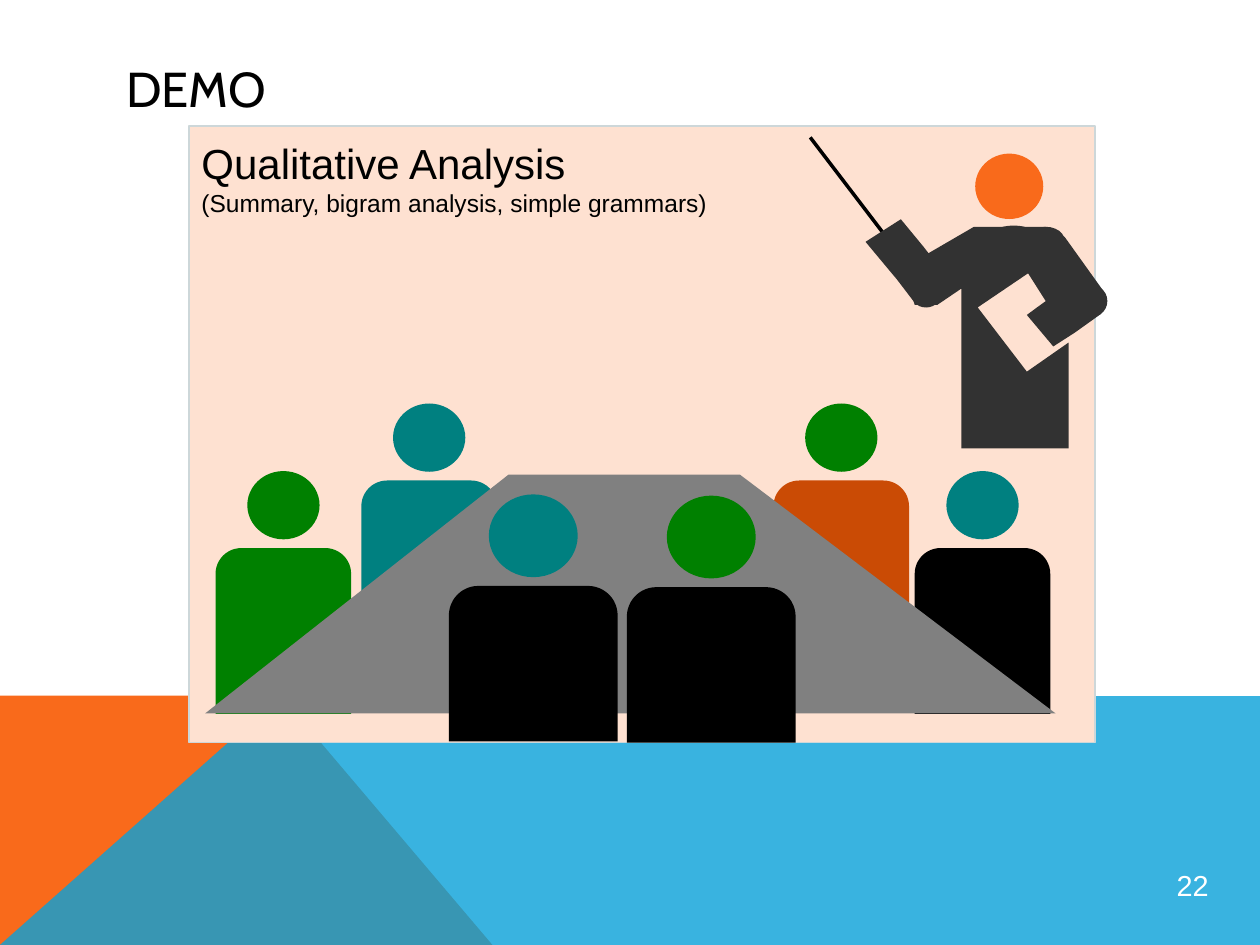
import pptx
import pptx.util
import pptx.dml.color
import pptx.enum.shapes
import pptx.enum.text
import pptx.oxml.ns
import lxml.etree

Pt = pptx.util.Pt
RGB = pptx.dml.color.RGBColor.from_string
SHAPE = pptx.enum.shapes.MSO_SHAPE
ALIGN = pptx.enum.text.PP_ALIGN
MIDDLE = pptx.enum.text.MSO_ANCHOR.MIDDLE
qn = pptx.oxml.ns.qn

THEME = {
    "orange": "F96A1B", "blue": "08A1D9", "peach": "FEE1D1", "border": "CDD7D9",
    "suit": "323232", "black": "000000", "white": "FFFFFF", "teal": "008080",
    "green": "008000", "rust": "CA4B05", "table": "808080",
    "title_font": "Cabin", "body_font": "Arial",
    "title": 28, "heading": 24, "detail": 14, "number": 16.5,
}


def paint(shape, colour):
    shape.shadow.inherit = False
    shape.fill.solid()
    shape.fill.fore_color.rgb = RGB(THEME[colour])
    shape.line.fill.background()
    return shape


def write(paragraph, text, size, colour="black", font="body_font"):
    run = paragraph.add_run()
    run.text = text
    run.font.size = Pt(THEME[size])
    run.font.name = THEME[font]
    run.font.color.rgb = RGB(THEME[colour])


deck = pptx.Presentation()
deck.slide_width, deck.slide_height = Pt(720), Pt(540)
slide = deck.slides.add_slide(deck.slide_layouts[5])
shapes = slide.shapes

title = shapes.title
title.left, title.top, title.width, title.height = Pt(64.8), Pt(28.8), Pt(592.6), Pt(43.2)
title.text_frame.vertical_anchor = MIDDLE
title.text_frame.auto_size = pptx.enum.text.MSO_AUTO_SIZE.NONE
title.text_frame.paragraphs[0].alignment = ALIGN.LEFT
write(title.text_frame.paragraphs[0], "DEMO", "title", font="title_font")

outlines = {
    "orange": [(0, 540), (0, 397.6), (160.6, 397.6), (281.4, 540)],
    "blue": [(0, 540), (160.6, 397.6), (720, 397.8), (720, 540)],
    "table": [(117.2, 407.7), (290.6, 271.2), (422.8, 271.2), (603.2, 407.7)],
    "suit": [
        (589.7, 129.6), (597.6, 129.6), (608.4, 135.4), (630, 165.6), (629.3, 179.3),
        (614.2, 190.1), (601.9, 198), (586.8, 180), (592.6, 175.7), (597.6, 172.1),
        (587.5, 156.2), (558.7, 175.7), (586.8, 212.4), (610.6, 195.8), (610.6, 256.3),
        (549.4, 256.3), (549.4, 164.9), (535.7, 174.2), (522.7, 174.2), (522, 172.1),
        (512.6, 159.8), (494.6, 138.2), (514.8, 125.3), (527.8, 141.1), (530.6, 144.7),
        (556.6, 129.6),
    ],
}
front_row = [(256.5, 334.8, "black", "teal"), (358.2, 335.5, "black", "green")]
back_row = [
    (522.7, 313.2, "black", "teal"),
    (442, 274.6, "rust", "green"),
    (206.5, 274.6, "teal", "teal"),
    (123.2, 313.2, "green", "green"),
]
scene = [
    ("outline", "orange"), ("outline", "blue"), ("frame", None), ("presenter", None),
    ("outline", "suit"), ("row", (back_row, 77.5, 94.8, 41.3, 39)),
    ("outline", "table"), ("row", (front_row, 96.5, 88.8, 50.8, 47.3)),
]

for part, detail in scene:
    if part == "outline":
        start, *corners = [(Pt(x), Pt(y)) for x, y in outlines[detail]]
        builder = shapes.build_freeform(*start)
        builder.add_line_segments(corners, close=True)
        area = paint(builder.convert_to_shape(), detail)
        if detail == "blue":
            tint = area._element.spPr.find(qn("a:solidFill")).find(qn("a:srgbClr"))
            lxml.etree.SubElement(tint, qn("a:alpha"), val="80000")
    elif part == "frame":
        frame = paint(shapes.add_shape(SHAPE.RECTANGLE, Pt(108), Pt(72), Pt(517.9), Pt(352.3)), "peach")
        frame.line.color.rgb = RGB(THEME["border"])
        frame.line.width = Pt(1)
    elif part == "presenter":
        pointer = shapes.add_connector(
            pptx.enum.shapes.MSO_CONNECTOR.STRAIGHT, Pt(511.9), Pt(142.6), Pt(463), Pt(78.5))
        pointer.line.color.rgb = RGB(THEME["black"])
        pointer.line.width = Pt(2)
        lxml.etree.SubElement(pointer._element.spPr, qn("a:effectLst"))
        for left, top, width, height, colour in [
            (557.3, 87.8, 38.9, 37.4, "orange"),
            (521.3, 162.7, 15.8, 13, "suit"),
            (617, 163.4, 15.8, 17.3, "suit"),
            (568.1, 128.9, 22.3, 8.6, "suit"),
            (586.8, 129.6, 21.6, 15.8, "suit"),
        ]:
            paint(shapes.add_shape(SHAPE.OVAL, Pt(left), Pt(top), Pt(width), Pt(height)), colour)
    else:
        people, body_width, body_height, head_width, head_height = detail
        for left, top, body_colour, head_colour in people:
            body = paint(shapes.add_shape(
                SHAPE.ROUND_2_SAME_RECTANGLE, Pt(left), Pt(top), Pt(body_width), Pt(body_height)), body_colour)
            body.adjustments[0] = 0.19
            paint(shapes.add_shape(
                SHAPE.OVAL, Pt(left + (body_width - head_width) / 2), Pt(top - head_height - 5),
                Pt(head_width), Pt(head_height)), head_colour)

caption = shapes.add_textbox(Pt(108), Pt(74.9), Pt(378), Pt(53.3)).text_frame
caption.word_wrap = True
write(caption.paragraphs[0], "Qualitative Analysis", "heading")
write(caption.add_paragraph(), "(Summary, bigram analysis, simple grammars)", "detail")

page_number = shapes.add_shape(SHAPE.OVAL, Pt(661.7), Pt(486), Pt(39.6), Pt(39.6))
page_number.shadow.inherit = False
page_number.fill.background()
page_number.line.fill.background()
number_frame = page_number.text_frame
number_frame.margin_left = number_frame.margin_right = Pt(0.7)
number_frame.margin_top = number_frame.margin_bottom = Pt(0.7)
number_frame.vertical_anchor = MIDDLE
number_frame.paragraphs[0].alignment = ALIGN.CENTER
write(number_frame.paragraphs[0], "22", "number", "white")

deck.save("out.pptx")
